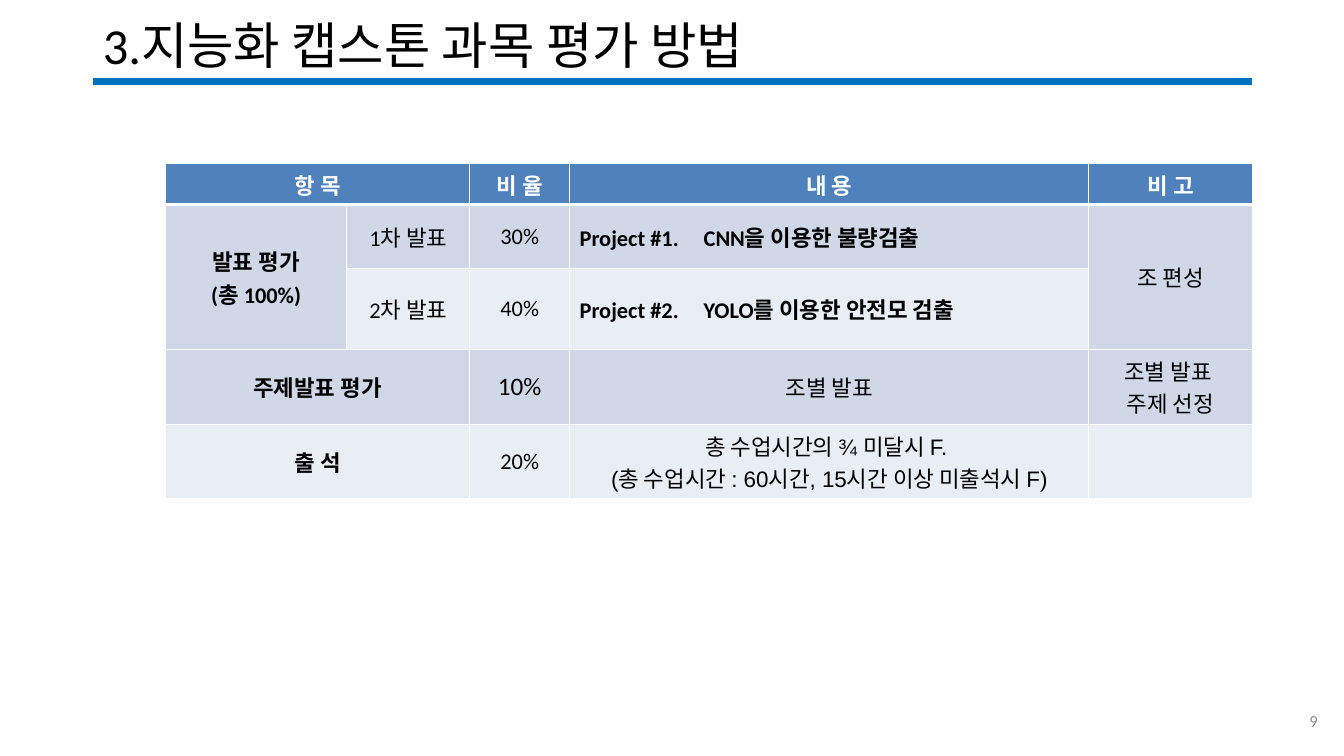
from lxml.etree import SubElement
from pptx import Presentation
from pptx.dml.color import RGBColor
from pptx.enum.shapes import MSO_CONNECTOR
from pptx.enum.text import MSO_ANCHOR, MSO_AUTO_SIZE, PP_ALIGN
from pptx.oxml import parse_xml
from pptx.oxml.ns import nsdecls, qn
from pptx.util import Inches, Pt

COLUMN_WIDTHS = [1.8, 1.22, 0.99, 5.15, 1.62]
ROW_HEIGHTS = [0.41, 0.63, 0.81, 0.74, 0.74]
ROWS = [
    ["항 목", "", "비 율", "내 용", "비 고"],
    ["발표 평가\n(총 100%)", "1차 발표", "30%", "Project #1.\tCNN을 이용한 불량검출", "조 편성"],
    ["", "2차 발표", "40%", "Project #2.\tYOLO를 이용한 안전모 검출", ""],
    ["주제발표 평가", "", "10%", "조별 발표", "조별 발표 \n주제 선정"],
    ["출 석", "", "20%", "총 수업시간의 ¾ 미달시 F. \n(총 수업시간 : 60시간, 15시간 이상 미출석시 F)", ""],
]
MERGES = [((0, 0), (0, 1)), ((1, 0), (2, 0)), ((1, 4), (2, 4)), ((3, 0), (3, 1)), ((4, 0), (4, 1))]
ROW_FILLS = ["4F81BD", "D0D8E8", "E9EDF4", "D0D8E8", "E9EDF4"]
PROJECT_CELLS = [(1, 3), (2, 3)]
LARGE_CELLS = [(3, 2)]
ARIAL_CELLS = [(4, 3)]


def color(code):
    return RGBColor.from_string(code)


def style_paragraph(para, size, code, bold=False, name="Calibri", align=PP_ALIGN.LEFT):
    para.alignment = align
    para.font.size = Pt(size)
    para.font.bold = bold
    para.font.name = name
    para.font.color.rgb = color(code)


def add_tab_stop(para, position):
    properties = para._p.get_or_add_pPr()
    tabs = SubElement(properties, qn("a:tabLst"))
    SubElement(tabs, qn("a:tab"), pos=str(position), algn="l")
    default_run = properties.find(qn("a:defRPr"))
    if default_run is not None:
        default_run.addprevious(tabs)


def add_borders(cell, row):
    top = 3 if row == 1 else 1
    bottom = 3 if row == 0 else 1
    sides = [("lnL", 1), ("lnR", 1), ("lnT", top), ("lnB", bottom)]
    properties = cell._tc.get_or_add_tcPr()
    for index, (side, width) in enumerate(sides):
        properties.insert(index, parse_xml(
            f'<a:{side} {nsdecls("a")} w="{Pt(width)}"><a:solidFill>'
            f'<a:srgbClr val="FFFFFF"/></a:solidFill></a:{side}>'))


def fill_cell(cell, row, column):
    place = (row, column)
    cell.fill.solid()
    cell.fill.fore_color.rgb = color(ROW_FILLS[row])
    add_borders(cell, row)
    cell.vertical_anchor = MSO_ANCHOR.MIDDLE
    if not ROWS[row][column]:
        return
    cell.text = ROWS[row][column]
    for para in cell.text_frame.paragraphs:
        style_paragraph(
            para,
            18 if place in LARGE_CELLS else 16,
            "FFFFFF" if row == 0 else "000000",
            row == 0 or column == 0 or place in PROJECT_CELLS,
            "Arial" if place in ARIAL_CELLS else "Calibri",
            PP_ALIGN.LEFT if place in PROJECT_CELLS else PP_ALIGN.CENTER)
        if place in PROJECT_CELLS:
            add_tab_stop(para, Inches(1.23))


def add_heading(page, left, top, width, height):
    rule = page.shapes.add_connector(
        MSO_CONNECTOR.STRAIGHT, left, top + height, left + width, top + height)
    rule.line.color.rgb = color("0070C0")
    rule.line.width = Pt(5)
    SubElement(rule._element.spPr, qn("a:effectLst"))

    title = page.shapes.title
    title.left, title.top, title.width, title.height = left, top, width, height
    frame = title.text_frame
    frame.text = "3.지능화 캡스톤 과목 평가 방법"
    frame.word_wrap = True
    frame.auto_size = MSO_AUTO_SIZE.NONE
    frame.vertical_anchor = MSO_ANCHOR.MIDDLE
    style_paragraph(frame.paragraphs[0], 36, "000000")
    frame.paragraphs[0].line_spacing = 0.9


def add_grading_table(page, left, top, width, height):
    table = page.shapes.add_table(
        len(ROW_HEIGHTS), len(COLUMN_WIDTHS), left, top, width, height).table
    for column, column_width in zip(table.columns, COLUMN_WIDTHS):
        column.width = Inches(column_width)
    for row, row_height in zip(table.rows, ROW_HEIGHTS):
        row.height = Inches(row_height)
    for row in range(len(ROW_HEIGHTS)):
        for column in range(len(COLUMN_WIDTHS)):
            fill_cell(table.cell(row, column), row, column)
    for first, last in MERGES:
        table.cell(*first).merge(table.cell(*last))


def add_page_number(page, left, top, width, height):
    frame = page.shapes.add_textbox(left, top, width, height).text_frame
    frame.word_wrap = True
    frame.vertical_anchor = MSO_ANCHOR.MIDDLE
    frame.text = "9"
    style_paragraph(frame.paragraphs[0], 12, "8C8C8C", align=PP_ALIGN.RIGHT)


def main():
    deck = Presentation()
    deck.slide_width, deck.slide_height = Inches(13.33), Inches(7.5)
    page = deck.slides.add_slide(deck.slide_layouts[5])
    add_heading(page, Inches(0.92), Inches(0.14), Inches(11.5), Inches(0.67))
    add_page_number(page, Inches(10.17), Inches(6.95), Inches(3), Inches(0.4))
    add_grading_table(page, Inches(1.64), Inches(1.62),
                      Inches(sum(COLUMN_WIDTHS)), Inches(sum(ROW_HEIGHTS)))
    deck.save("out.pptx")


if __name__ == "__main__":
    main()
